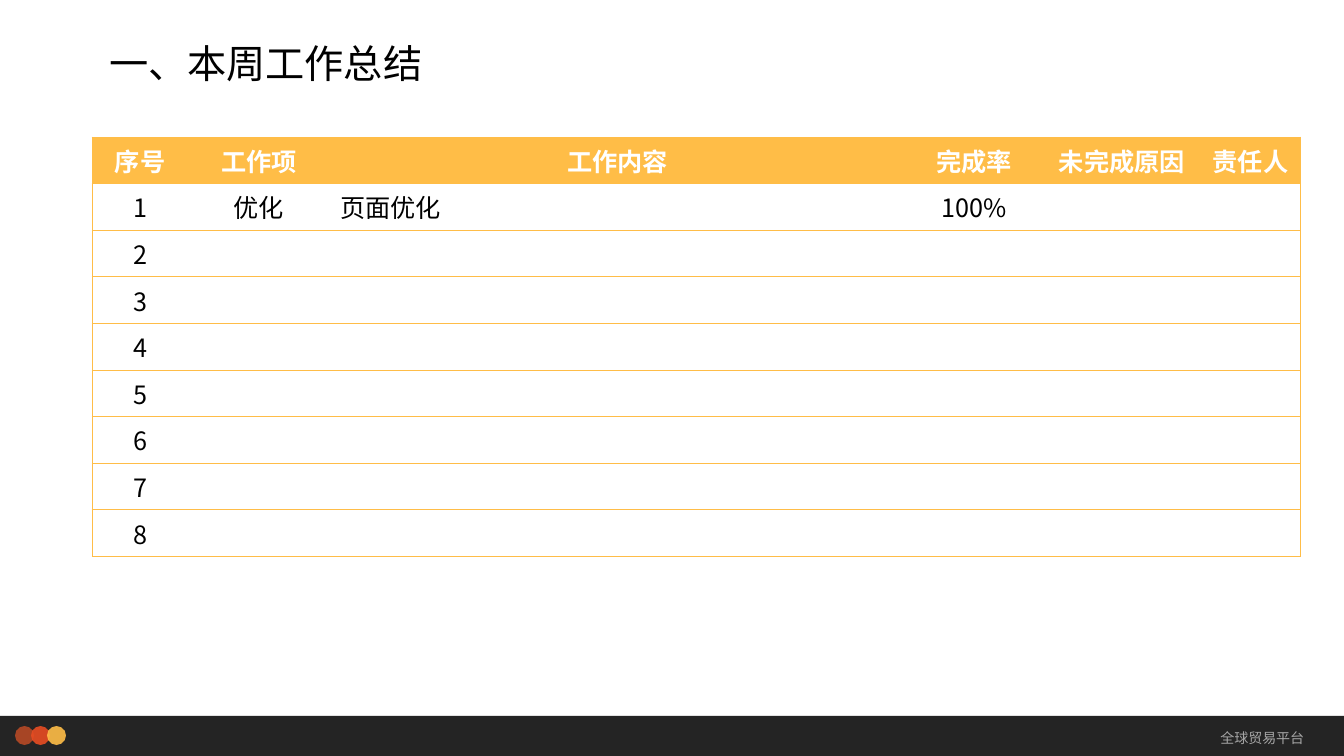
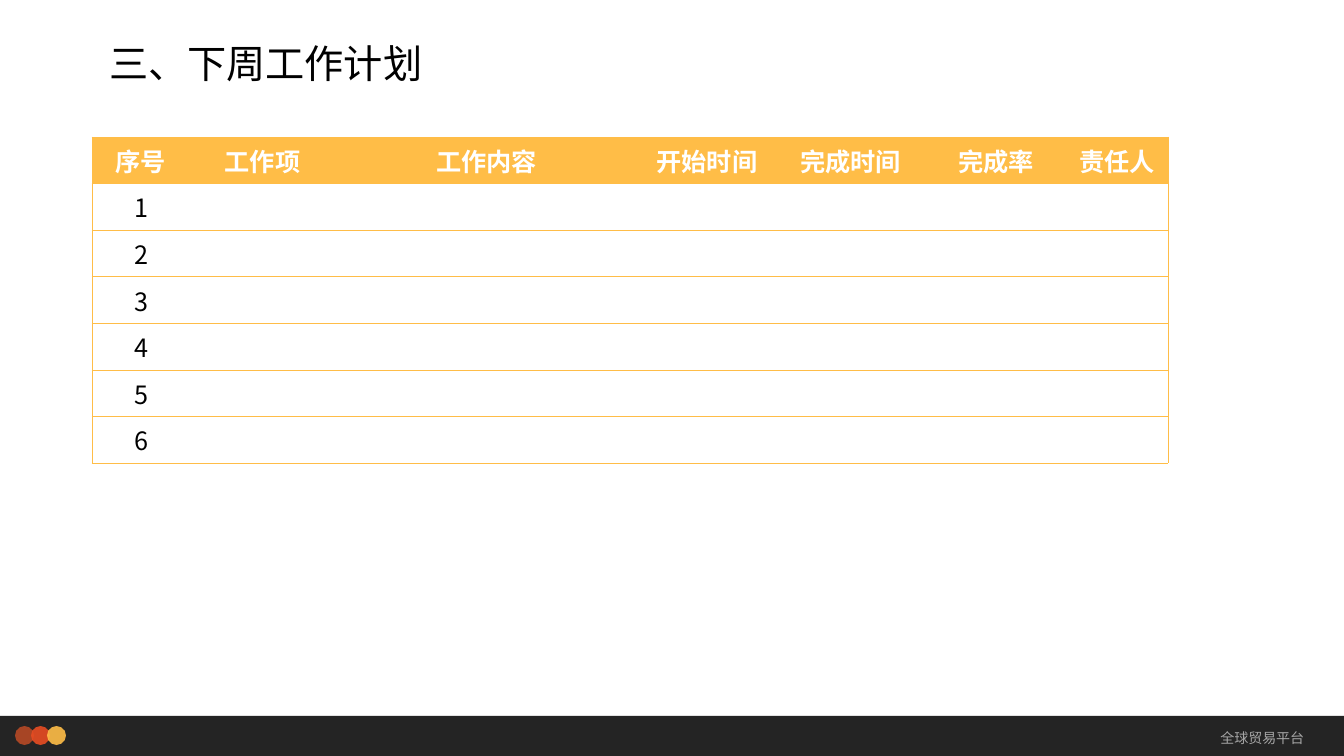
import pptx
import pptx.dml.color
import pptx.enum.shapes
import pptx.enum.text
import pptx.oxml
import pptx.oxml.ns
import pptx.util

PX = 914400 / 100.8
WIDE, HIGH = 1344, 756
FONT = "Noto Sans CJK SC"
HUES = {
    "band": "0D0D0D", "brick": "B64926", "red": "E84C22", "gold": "FFBD47",
    "grey": "A6A6A6", "ink": "000000", "paper": "FFFFFF",
}
ALIGN = pptx.enum.text.PP_ALIGN
ANCHOR = pptx.enum.text.MSO_ANCHOR
SHAPE = pptx.enum.shapes.MSO_SHAPE
ROW = 46
LEFT, TOP = 92, 137


def emu(px):
    return pptx.util.Emu(round(px * PX))


def rgb(hue):
    return pptx.dml.color.RGBColor.from_string(HUES[hue])


def node(tag, **attrs):
    item = pptx.oxml.parse_xml(f"<a:{tag} {pptx.oxml.ns.nsdecls('a')}/>")
    for key, value in attrs.items():
        item.set(key, str(value))
    return item


class Deck:
    def __init__(self):
        self.show = pptx.Presentation()
        self.show.slide_width = emu(WIDE)
        self.show.slide_height = emu(HIGH)
        self.layout = self.show.slide_layouts.get_by_name("Title Only")
        for holder in list(self.layout.placeholders):
            if holder.placeholder_format.idx:
                holder.element.getparent().remove(holder.element)
        self.slide = None

    def page(self, title):
        self.slide = self.show.slides.add_slide(self.layout)
        shape = self.slide.shapes.title
        shape.left, shape.top, shape.width, shape.height = map(emu, (99, 15, 1008, 77))
        frame = shape.text_frame
        frame.auto_size = pptx.enum.text.MSO_AUTO_SIZE.NONE
        frame.vertical_anchor = ANCHOR.BOTTOM
        frame.paragraphs[0].line_spacing = 0.9
        self.text(frame, title, 28, "ink", ALIGN.LEFT)

    def text(self, frame, words, size, hue, align, bold=False):
        para = frame.paragraphs[0]
        para.alignment = align
        run = para.add_run()
        run.text = words
        font = run.font
        font.name, font.size, font.bold = FONT, pptx.util.Pt(size), bold
        font.color.rgb = rgb(hue)
        latin = run._r.get_or_add_rPr().find(pptx.oxml.ns.qn("a:latin"))
        latin.addnext(node("ea", typeface=FONT))

    def shape(self, kind, box, hue):
        shape = self.slide.shapes.add_shape(kind, *map(emu, box))
        shape.shadow.inherit = False
        shape.line.fill.background()
        shape.fill.solid()
        shape.fill.fore_color.rgb = rgb(hue)
        color = shape.element.spPr.find(".//" + pptx.oxml.ns.qn("a:srgbClr"))
        color.append(node("alpha", val=90000))
        return shape

    def label(self, box, words, size, hue, align):
        shape = self.slide.shapes.add_textbox(*map(emu, box))
        shape.text_frame.word_wrap = True
        shape.text_frame.vertical_anchor = ANCHOR.MIDDLE
        self.text(shape.text_frame, words, size, hue, align)
        return shape

    def footer(self, words):
        """Draw the bottom band and move it to the layout, for all slides."""
        parts = [self.shape(SHAPE.RECTANGLE, (0, 716, WIDE, 40), "band")]
        for i, hue in enumerate(("brick", "red", "gold")):
            parts.append(self.shape(SHAPE.OVAL, (15 + 16 * i, 726, 19, 19), hue))
        parts.append(self.label((1086, 716, 228, 44), words, 10, "grey", ALIGN.RIGHT))
        for part in parts:
            self.layout.shapes.element.append(part.element)

    def edge(self, cell, sides):
        """Line the given sides of a cell and clear the others."""
        props = cell._tc.get_or_add_tcPr()
        for i, side in enumerate("LRTB"):
            line = node(f"ln{side}", w=pptx.util.Pt(0.5))
            if side in sides:
                fill = node("solidFill")
                fill.append(node("srgbClr", val=HUES["gold"]))
            else:
                fill = node("noFill")
            line.append(fill)
            props.insert(i, line)

    def table(self, heads, widths, rows):
        """Fill a numbered table; the third column is set to the left."""
        count = len(rows) + 1
        box = (LEFT, TOP, sum(widths), ROW * count)
        grid = self.slide.shapes.add_table(count, len(heads), *map(emu, box)).table
        grid.horz_banding = False
        for col, width in zip(grid.columns, widths):
            col.width = emu(width)
        lines = [heads] + [[str(n), *row] for n, row in enumerate(rows, 1)]
        for r, line in enumerate(lines):
            grid.rows[r].height = emu(ROW)
            for c in range(len(heads)):
                cell = grid.cell(r, c)
                cell.fill.solid()
                cell.fill.fore_color.rgb = rgb("paper" if r else "gold")
                ends = "L" * (c == 0) + "R" * (c == len(heads) - 1)
                self.edge(cell, "TB" + ends)
                if c < len(line):
                    align = ALIGN.LEFT if r and c == 2 else ALIGN.CENTER
                    hue = "ink" if r else "paper"
                    self.text(cell.text_frame, line[c], 18, hue, align, r == 0)


def main():
    deck = Deck()
    deck.page("一、本周工作总结")
    deck.footer("全球贸易平台")
    deck.table(
        ["序号", "工作项", "工作内容", "完成率", "未完成原因", "责任人"],
        [96, 142, 575, 138, 158, 99],
        [["优化", "页面优化", "100%"]] + [[]] * 7,
    )
    deck.page("三、下周工作计划")
    deck.table(
        ["序号", "工作项", "工作内容", "开始时间", "完成时间", "完成率", "责任人"],
        [98, 145, 303, 138, 149, 142, 101],
        [[]] * 6,
    )
    deck.show.save("out.pptx")


if __name__ == "__main__":
    main()
